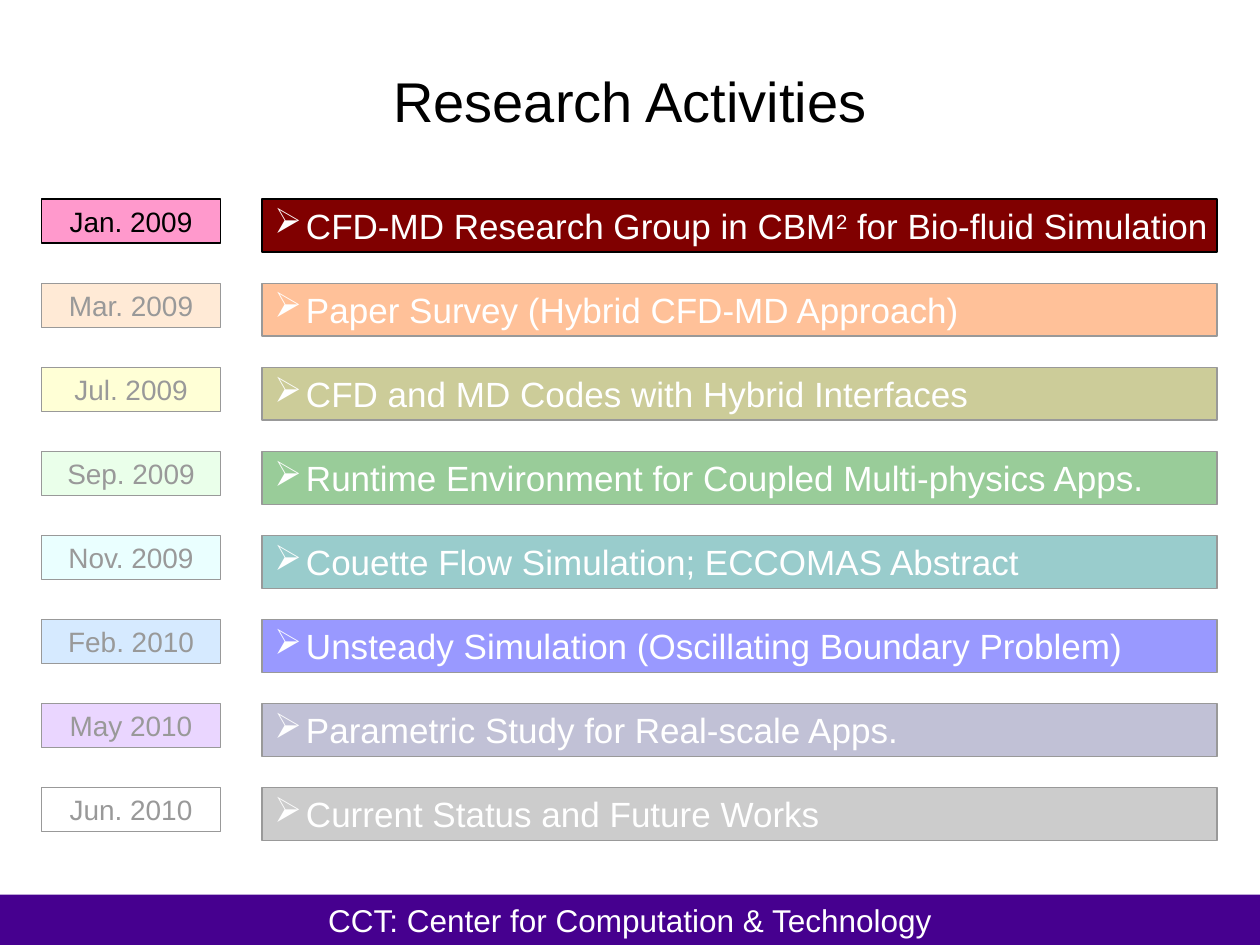
from lxml import etree
from pptx import Presentation
from pptx.dml.color import RGBColor as RGB
from pptx.enum.shapes import MSO_SHAPE as SHAPE
from pptx.enum.text import MSO_ANCHOR as ANCHOR, PP_ALIGN as ALIGN
from pptx.oxml.ns import qn
from pptx.util import Inches, Pt

COLORS = {"black": "000000", "white": "FFFFFF", "footer": "46008F"}
ACTIVITIES = [
    ("Jan. 2009", "FF99CC", ["CFD-MD Research Group in CBM", "2", " for Bio-fluid Simulation"], "800000"),
    ("Mar. 2009", "FFCC99", ["Paper Survey (Hybrid CFD-MD Approach)"], "FF6600"),
    ("Jul. 2009", "FFFF99", ["CFD and MD Codes with Hybrid Interfaces"], "808000"),
    ("Sep. 2009", "CCFFCC", ["Runtime Environment for Coupled Multi-physics Apps."], "008000"),
    ("Nov. 2009", "CCFFFF", ["Couette Flow Simulation; ECCOMAS Abstract"], "008080"),
    ("Feb. 2010", "99CCFF", ["Unsteady Simulation (Oscillating Boundary Problem)"], "0000FF"),
    ("May 2010", "CC99FF", ["Parametric Study for Real-scale Apps."], "666699"),
    ("Jun. 2010", "FFFFFF", ["Current Status and Future Works"], "808080"),
]


def set_font(font, size, color):
    for name, value in {"name": "Arial", "size": Pt(size), "bold": False}.items():
        setattr(font, name, value)
    font.color.rgb = RGB.from_string(color)


def add_rect(s, box, fill, line=None):
    sp = s.shapes.add_shape(SHAPE.RECTANGLE, *map(Inches, box))
    sp.shadow.inherit = False
    sp.fill.solid()
    sp.fill.fore_color.rgb = RGB.from_string(fill)
    if line:
        sp.line.color.rgb = RGB.from_string(line)
        sp.line.width = Pt(0.75)
    else:
        sp.line.fill.background()
    return sp


def write(sp, parts, size, color, align, wrap=False, anchor=ANCHOR.MIDDLE):
    tf = sp.text_frame
    for name, value in {"word_wrap": wrap, "vertical_anchor": anchor}.items():
        setattr(tf, name, value)
    p = tf.paragraphs[0]
    p.alignment = align
    for i, part in enumerate(parts):
        r = p.add_run()
        r.text = part
        set_font(r.font, size, color)
        if i % 2:
            r.font._element.set("baseline", "30000")
    return p


def add_bullet(p, char, color):
    pPr = p._p.get_or_add_pPr()
    pPr.set("marL", str(Inches(0.25)))
    pPr.set("indent", str(Inches(-0.25)))
    clr = etree.SubElement(pPr, qn("a:buClr"))
    etree.SubElement(clr, qn("a:srgbClr"), val=color)
    etree.SubElement(pPr, qn("a:buChar"), char=char)


def add_title(s, box, text):
    sp = s.shapes.title
    sp.left, sp.top, sp.width, sp.height = map(Inches, box)
    write(sp, [text], 32, COLORS["black"], ALIGN.CENTER, wrap=True)


def add_footer(s, box, text):
    sp = add_rect(s, box, COLORS["footer"])
    write(sp, [text], 18, COLORS["white"], ALIGN.CENTER, wrap=True, anchor=ANCHOR.TOP)


def add_timeline(s, box):
    left, top, width, height = box
    date_w, date_h, bar_h, gap = 1.42, 0.35, 0.42, 0.33
    step = (height - bar_h) / (len(ACTIVITIES) - 1)
    bar_left = left + date_w + gap
    for i, (date, date_fill, parts, bar_fill) in enumerate(ACTIVITIES):
        y = top + i * step
        sp = add_rect(s, (left, y, date_w, date_h), date_fill, COLORS["black"])
        write(sp, [date], 16, COLORS["black"], ALIGN.CENTER)
        sp = add_rect(s, (bar_left, y, left + width - bar_left, bar_h), bar_fill, COLORS["black"])
        p = write(sp, parts, 20, COLORS["white"], ALIGN.LEFT)
        add_bullet(p, "➢", COLORS["white"])


def add_veil(s, box, opacity):
    sp = add_rect(s, box, COLORS["white"])
    clr = sp.fill._xPr.find(qn("a:solidFill"))[0]
    etree.SubElement(clr, qn("a:alpha"), val=str(opacity * 1000))


def main():
    prs = Presentation()
    prs.slide_width, prs.slide_height = Inches(10), Inches(7.5)
    s = prs.slides.add_slide(prs.slide_layouts[5])
    add_footer(s, (0, 7.1, 10, 0.4), "CCT: Center for Computation & Technology")
    add_title(s, (0.75, 0.17, 8.5, 1.25), "Research Activities")
    add_timeline(s, (0.33, 1.58, 9.33, 5.09))
    add_veil(s, (0.08, 2.17, 9.75, 4.75), 60)
    prs.save("out.pptx")


if __name__ == "__main__":
    main()
